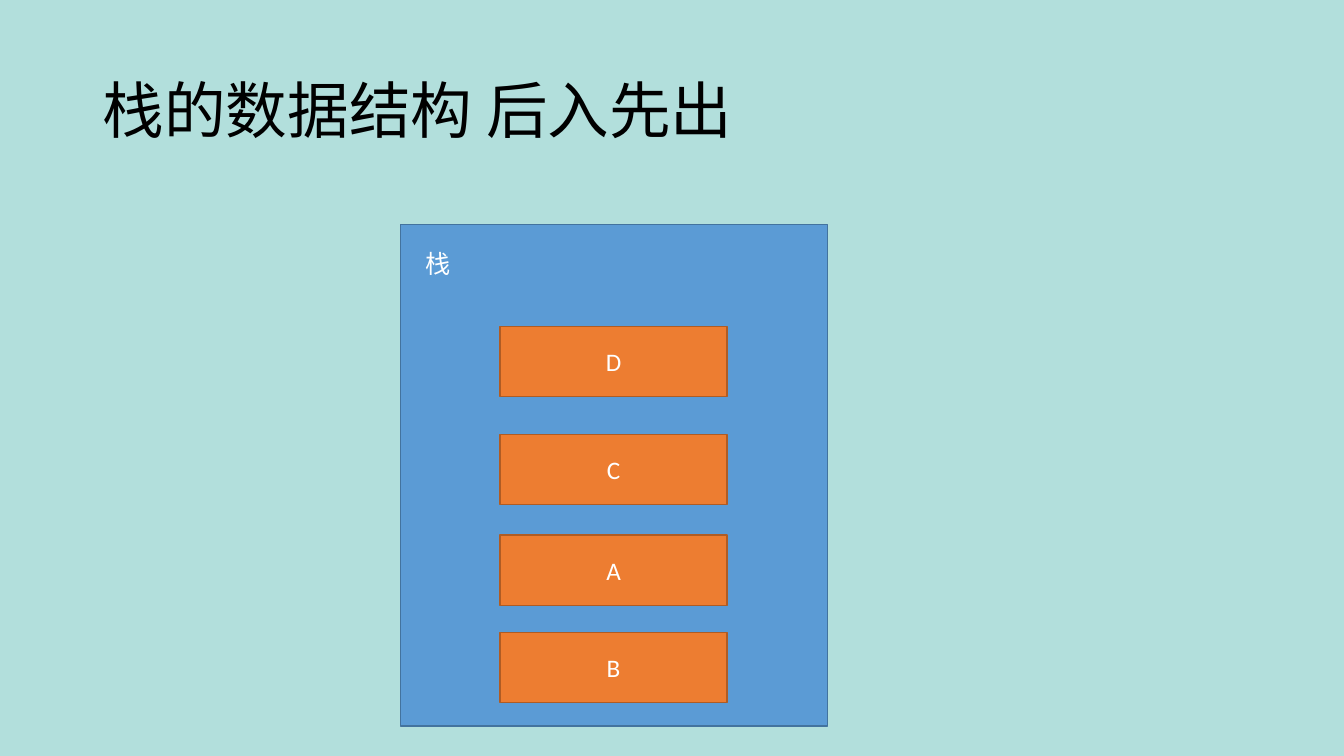
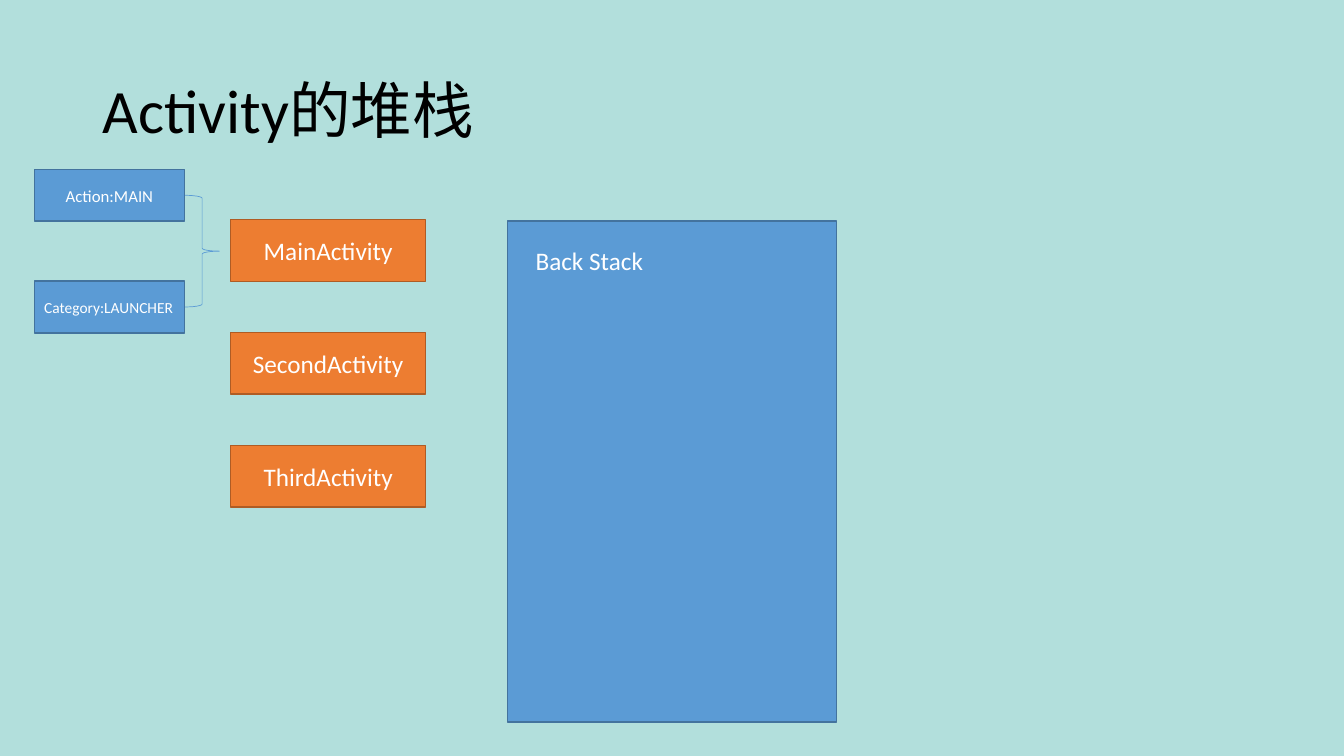
from pptx import Presentation
from pptx.dml.color import RGBColor
from pptx.enum.shapes import MSO_SHAPE
from pptx.enum.text import MSO_ANCHOR, PP_ALIGN
from pptx.util import Pt

RECTANGLE, RIGHT_BRACE = MSO_SHAPE.RECTANGLE, MSO_SHAPE.RIGHT_BRACE
LEFT, CENTER = PP_ALIGN.LEFT, PP_ALIGN.CENTER
MIDDLE = MSO_ANCHOR.MIDDLE

# Shared style: (fill, outline) pairs and plain colours
FONT = "Calibri"
BACKGROUND, BLACK, WHITE = "B2DFDC", "000000", "FFFFFF"
BLUE = ("5B9BD5", "43739E")
ORANGE = ("ED7D31", "AF5C24")
TITLE_BOX = (66.2, 28.8, 828, 104.4)

# Slide 1: the stack, with the top of each element
STACK_TITLE = "栈的数据结构 后入先出"
STACK = ("栈", (286, 160.5, 305.3, 358), (296.5, 173.5, 78.5, 29))
ELEMENTS = [("D", 233.2), ("C", 310.3), ("A", 382.2), ("B", 451.6)]
ELEMENT_LEFT, ELEMENT_WIDTH, ELEMENT_HEIGHT = 357.1, 162.3, 50.2

# Slide 2: activities, launch filters and the back stack
ACTIVITY_TITLE = "Activity的堆栈"
BACK_STACK = ("Back Stack", (362.7, 157.9, 234.7, 358), (375.5, 171.4, 204.5, 29))
ACTIVITIES = ["MainActivity", "SecondActivity", "ThirdActivity"]
ACTIVITY_BOX, ACTIVITY_STEP = (164.8, 157, 139.2, 44), 80.6
FILTERS = [("Action:MAIN", 12, CENTER), ("Category:LAUNCHER", 11, LEFT)]
FILTER_BOX, FILTER_STEP = (24.5, 121, 107.4, 37), 79.8
BRACE_WIDTH = 25


def rgb(value):
    return RGBColor.from_string(value)


def points(box):
    return [Pt(length) for length in box]


def write(frame, text, size, color=WHITE, align=LEFT):
    paragraph = frame.paragraphs[0]
    paragraph.alignment = align
    run = paragraph.add_run()
    run.text = text
    run.font.name, run.font.size = FONT, Pt(size)
    run.font.color.rgb = rgb(color)
    return paragraph


def add_slide(prs, title):
    slide = prs.slides.add_slide(prs.slide_layouts[5])
    heading = slide.shapes.title
    heading.left, heading.top, heading.width, heading.height = points(TITLE_BOX)
    heading.text_frame.vertical_anchor = MIDDLE
    write(heading.text_frame, title, 44, BLACK).line_spacing = 0.9
    return slide


def add_box(slide, box, colors, text="", size=18, align=CENTER):
    fill, outline = colors
    rectangle = slide.shapes.add_shape(RECTANGLE, *points(box))
    rectangle.shadow.inherit = False
    rectangle.fill.solid()
    rectangle.fill.fore_color.rgb = rgb(fill)
    rectangle.line.color.rgb = rgb(outline)
    rectangle.line.width = Pt(1)
    if text:
        rectangle.text_frame.vertical_anchor = MIDDLE
        write(rectangle.text_frame, text, size, align=align)


def add_container(slide, name, box, name_box):
    add_box(slide, box, BLUE)
    label = slide.shapes.add_textbox(*points(name_box)).text_frame
    label.word_wrap = True
    write(label, name, 18)


def add_brace(slide, box):
    brace = slide.shapes.add_shape(RIGHT_BRACE, *points(box))
    brace.shadow.inherit = False
    brace.fill.background()
    brace.line.color.rgb = rgb(BLUE[0])
    brace.line.width = Pt(0.5)


def build_stack(prs):
    slide = add_slide(prs, STACK_TITLE)
    add_container(slide, *STACK)
    for element, top in ELEMENTS:
        add_box(slide, (ELEMENT_LEFT, top, ELEMENT_WIDTH, ELEMENT_HEIGHT), ORANGE, element)


def build_activities(prs):
    slide = add_slide(prs, ACTIVITY_TITLE)
    add_container(slide, *BACK_STACK)

    left, top, width, height = ACTIVITY_BOX
    for row, activity in enumerate(ACTIVITIES):
        add_box(slide, (left, top + row * ACTIVITY_STEP, width, height), ORANGE, activity)

    # The brace spans the middles of the two filters
    left, top, width, height = FILTER_BOX
    add_brace(slide, (left + width, top + height / 2, BRACE_WIDTH, FILTER_STEP))
    for row, (name, size, align) in enumerate(FILTERS):
        add_box(slide, (left, top + row * FILTER_STEP, width, height), BLUE, name, size, align)


def main():
    prs = Presentation()
    prs.slide_width, prs.slide_height = Pt(960), Pt(540)
    background = prs.slide_master.background.fill
    background.solid()
    background.fore_color.rgb = rgb(BACKGROUND)
    build_stack(prs)
    build_activities(prs)
    prs.save("out.pptx")


if __name__ == "__main__":
    main()
